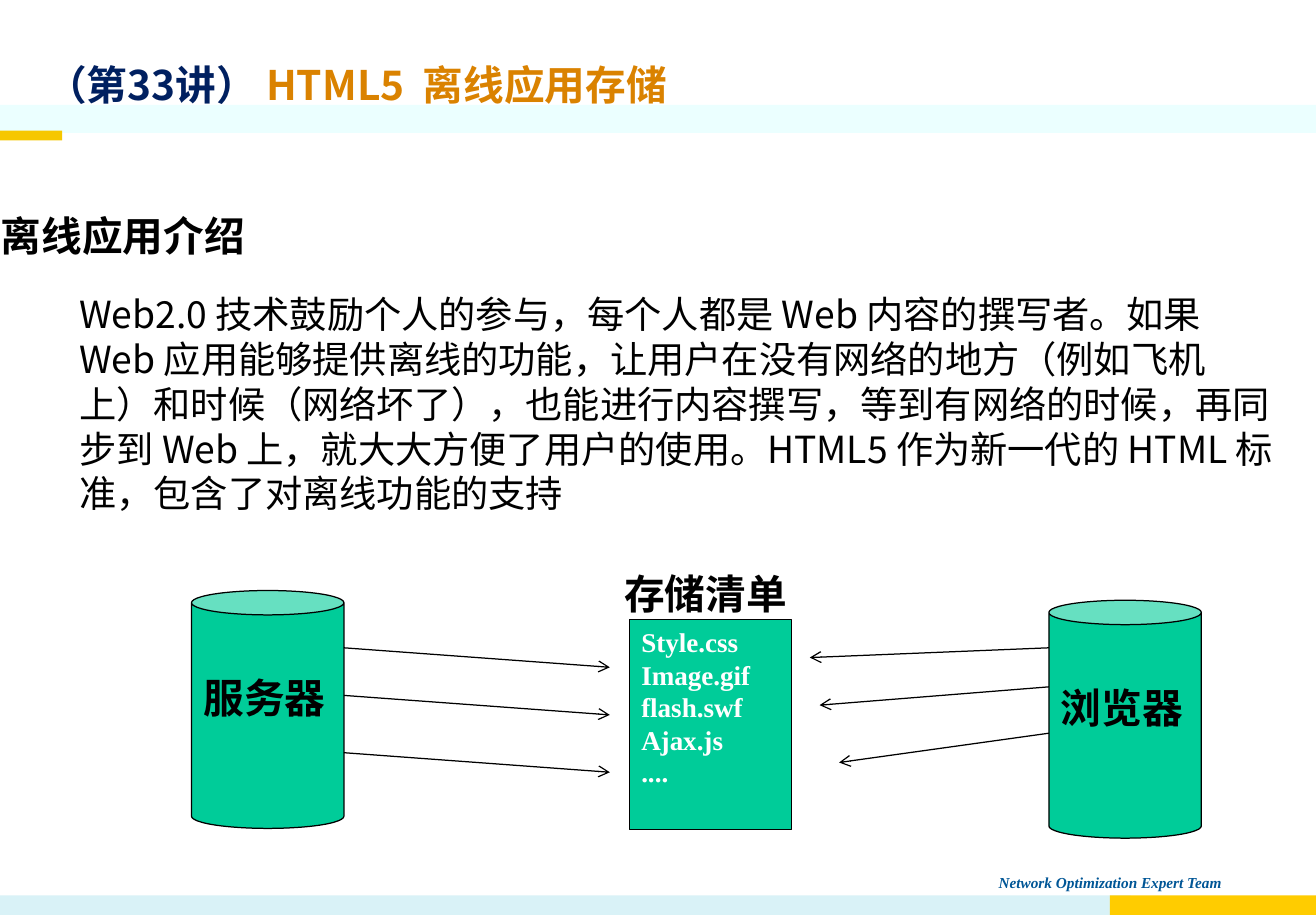
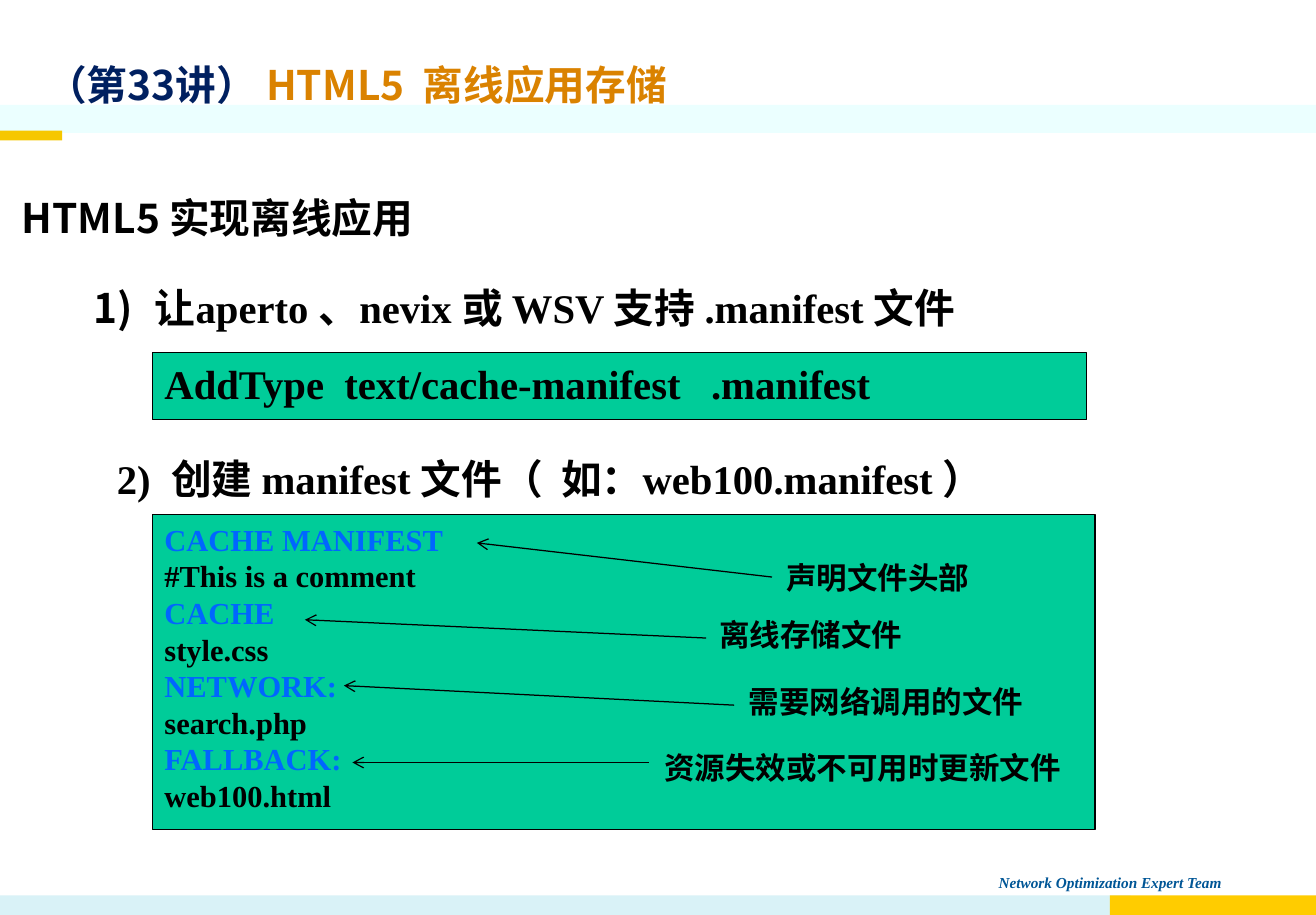
from lxml import etree
from pptx import Presentation
from pptx import util as u
from pptx.dml.color import RGBColor
from pptx.enum import shapes, text
from pptx.oxml.ns import qn

NAVY = RGBColor(0x00, 0x20, 0x60)
ORANGE = RGBColor(0xDA, 0x82, 0x00)
FOOTER_BLUE = RGBColor(0x00, 0x56, 0x96)
KEYWORD_BLUE = RGBColor(0x00, 0x66, 0xFF)
GREEN = RGBColor(0x00, 0xCC, 0x99)
PALE_CYAN = RGBColor(0xEB, 0xFF, 0xFF)
PALE_BLUE = RGBColor(0xD9, 0xF2, 0xF7)
YELLOW = RGBColor(0xFF, 0xCC, 0x00)
GOLD = RGBColor(0xF6, 0xC7, 0x00)
BLACK = RGBColor(0, 0, 0)
WHITE = RGBColor(0xFF, 0xFF, 0xFF)
SANS = "Noto Sans CJK SC"
SERIF = "Times New Roman"


def place(shape, left, top, width, height):
    shape.left, shape.top = u.Inches(left), u.Inches(top)
    shape.width, shape.height = u.Inches(width), u.Inches(height)


def style_text(frame, size, color=BLACK, font=SERIF, bold=True, spacing=1.2):
    frame.word_wrap = True
    frame.auto_size = text.MSO_AUTO_SIZE.NONE
    frame.vertical_anchor = text.MSO_ANCHOR.TOP
    for paragraph in frame.paragraphs:
        paragraph.alignment = text.PP_ALIGN.LEFT
        paragraph.line_spacing = u.Pt(round(size * spacing, 1))
        paragraph.space_before = u.Pt(0)
        for run in paragraph.runs:
            run.font.size = u.Pt(size)
            run.font.bold = bold
            run.font.name = font
            run.font.color.rgb = color
            if font == SANS:
                properties = run.font.element if hasattr(run.font, "element") else run._r.get_or_add_rPr()
                etree.SubElement(properties, qn("a:ea")).set("typeface", SANS)


presentation = Presentation()
presentation.slide_width = u.Inches(10.79)
presentation.slide_height = u.Inches(7.5)
layout = presentation.slide_layouts[1]
for placeholder in list(layout.placeholders)[2:]:
    placeholder.element.getparent().remove(placeholder.element)
intro = presentation.slides.add_slide(layout)
manifest = presentation.slides.add_slide(layout)

# Bands and footer, shared through the layout
bands = [
    (0, 0.86, 10.79, 0.23, PALE_CYAN),
    (0, 7.34, 9.27, 0.16, PALE_BLUE),
    (9.1, 7.34, 1.69, 0.16, YELLOW),
    (0, 1.07, 0.51, 0.08, GOLD),
]
shared = []
for left, top, width, height, color in bands:
    band = intro.shapes.add_shape(shapes.MSO_SHAPE.RECTANGLE, 0, 0, 0, 0)
    place(band, left, top, width, height)
    band.shadow.inherit = False
    band.fill.solid()
    band.fill.fore_color.rgb = color
    band.line.fill.background()
    shared.append(band)
footer = intro.shapes.add_textbox(0, 0, 0, 0)
place(footer, 8.09, 7.11, 2.68, 0.25)
footer.text_frame.text = "Network Optimization Expert Team"
style_text(footer.text_frame, 9, FOOTER_BLUE)
footer.text_frame.paragraphs[0].runs[0].font.italic = True
shared.append(footer)
for number, shape in enumerate(shared, start=20):
    shape.element.xpath(".//p:cNvPr")[0].set("id", str(number))
    layout.shapes.element.append(shape.element)

# Titles
for slide in (intro, manifest):
    place(slide.shapes.title, 0.28, 0.44, 8.87, 0.5)
    paragraph = slide.shapes.title.text_frame.paragraphs[0]
    paragraph.text = "（第33讲） "
    paragraph.add_run().text = "HTML5  离线应用存储"
    style_text(slide.shapes.title.text_frame, 24, NAVY, SANS)
    paragraph.runs[1].font.color.rgb = ORANGE

# Body text: a plain paragraph, then a numbered step
bodies = [
    (intro, (0.55, 2.34, 10, 1.94), 22, SANS, False,
     "Web2.0 技术鼓励个人的参与，每个人都是 Web 内容的撰写者。如果 Web 应用能够提供离线的功能，"
     "让用户在没有网络的地方（例如飞机上）和时候（网络坏了），也能进行内容撰写，等到有网络的时候，"
     "再同步到 Web 上，就大大方便了用户的使用。HTML5 作为新一代的 HTML 标准，包含了对离线功能的支持"),
    (manifest, (0.67, 2.27, 8.2, 0.5), 24, SERIF, True,
     "让aperto 、nevix 或 WSV 支持 .manifest 文件"),
]
for slide, box, size, font, numbered, content in bodies:
    body = slide.placeholders[1]
    place(body, *box)
    body.text_frame.text = content
    style_text(body.text_frame, size, font=font, bold=numbered)
    properties = body.text_frame.paragraphs[0]._p.get_or_add_pPr()
    indent = u.Inches(0.5) if numbered else 0
    properties.set("marL", str(indent))
    properties.set("indent", str(-indent))
    if numbered:
        etree.SubElement(properties, qn("a:buFont")).set("typeface", SANS)
        etree.SubElement(properties, qn("a:buAutoNum")).set("type", "arabicParenR")
    else:
        etree.SubElement(properties, qn("a:buNone"))

# Green boxes and cylinders
RECTANGLE, CAN = shapes.MSO_SHAPE.RECTANGLE, shapes.MSO_SHAPE.CAN
code_lines = ["CACHE MANIFEST", "#This is a comment", "CACHE", "style.css",
              "NETWORK:", "search.php", "FALLBACK:", "web100.html"]
green_shapes = [
    (intro, RECTANGLE, (5.16, 5.08, 1.33, 1.72), 16, WHITE,
     ["Style.css", "Image.gif", "flash.swf", "Ajax.js", "...."]),
    (intro, CAN, (1.57, 4.84, 1.25, 1.95), 24, BLACK, ["服务器"]),
    (intro, CAN, (8.6, 4.92, 1.25, 1.95), 24, BLACK, ["浏览器"]),
    (manifest, RECTANGLE, (1.25, 2.89, 7.66, 0.55), 24, BLACK,
     ["AddType  text/cache-manifest   .manifest"]),
    (manifest, RECTANGLE, (1.25, 4.22, 7.73, 2.58), 18, BLACK, code_lines),
]
for slide, kind, box, size, color, lines in green_shapes:
    shape = slide.shapes.add_shape(kind, 0, 0, 0, 0)
    place(shape, *box)
    shape.shadow.inherit = False
    shape.fill.solid()
    shape.fill.fore_color.rgb = GREEN
    shape.line.color.rgb = BLACK
    shape.line.width = u.Pt(0.75)
    shape.text_frame.text = "\n".join(lines)
    style_text(shape.text_frame, size, color)
    if kind == CAN:
        shape.adjustments[0] = 0.16
        shape.text_frame.vertical_anchor = text.MSO_ANCHOR.MIDDLE
        shape.text_frame.margin_bottom = u.Inches(0.35)
    if lines is code_lines:
        for paragraph in shape.text_frame.paragraphs[::2]:
            paragraph.runs[0].font.color.rgb = KEYWORD_BLUE

# Headings and labels
labels = [
    (intro, (-0.09, 1.48, 3.2, 0.7), 24, SANS, 1.8, "离线应用介绍"),
    (intro, (5.02, 4.61, 1.6, 0.5), 24, SERIF, 1.2, "存储清单"),
    (manifest, (0.08, 1.33, 4.49, 0.7), 24, SANS, 1.8, "HTML5 实现离线应用"),
    (manifest, (0.86, 3.67, 8.2, 0.5), 24, SERIF, 1.2,
     "2)  创建 manifest 文件（  如：web100.manifest ）"),
    (manifest, (6.35, 4.53, 1.8, 0.4), 18, SERIF, 1.2, "声明文件头部"),
    (manifest, (5.8, 5, 1.8, 0.4), 18, SERIF, 1.2, "离线存储文件"),
    (manifest, (6.04, 5.55, 2.6, 0.4), 18, SERIF, 1.2, "需要网络调用的文件"),
    (manifest, (5.35, 6.09, 3.6, 0.4), 18, SERIF, 1.2, "资源失效或不可用时更新文件"),
]
for slide, box, size, font, spacing, content in labels:
    label = slide.shapes.add_textbox(0, 0, 0, 0)
    place(label, *box)
    label.text_frame.text = content
    style_text(label.text_frame, size, font=font, spacing=spacing)

# Arrows
arrows = [(intro, 2.82, y, 5, y + 0.16) for y in (5.31, 5.7, 6.17)] + [
    (intro, 8.6, 5.31, 6.64, 5.39),
    (intro, 8.6, 5.63, 6.72, 5.78),
    (intro, 8.6, 6.01, 6.88, 6.25),
    (manifest, 6.33, 4.73, 3.91, 4.45),
    (manifest, 5.79, 5.23, 2.5, 5.08),
    (manifest, 6.02, 5.78, 2.82, 5.62),
    (manifest, 5.32, 6.25, 2.89, 6.25),
]
for slide, *ends in arrows:
    arrow = slide.shapes.add_connector(
        shapes.MSO_CONNECTOR.STRAIGHT, *[u.Inches(end) for end in ends])
    arrow.line.color.rgb = BLACK
    arrow.line.width = u.Pt(0.75)
    line = arrow.element.xpath(".//a:ln")[0]
    etree.SubElement(line, qn("a:tailEnd")).set("type", "arrow")
    etree.SubElement(line.getparent(), qn("a:effectLst"))

presentation.save("out.pptx")
